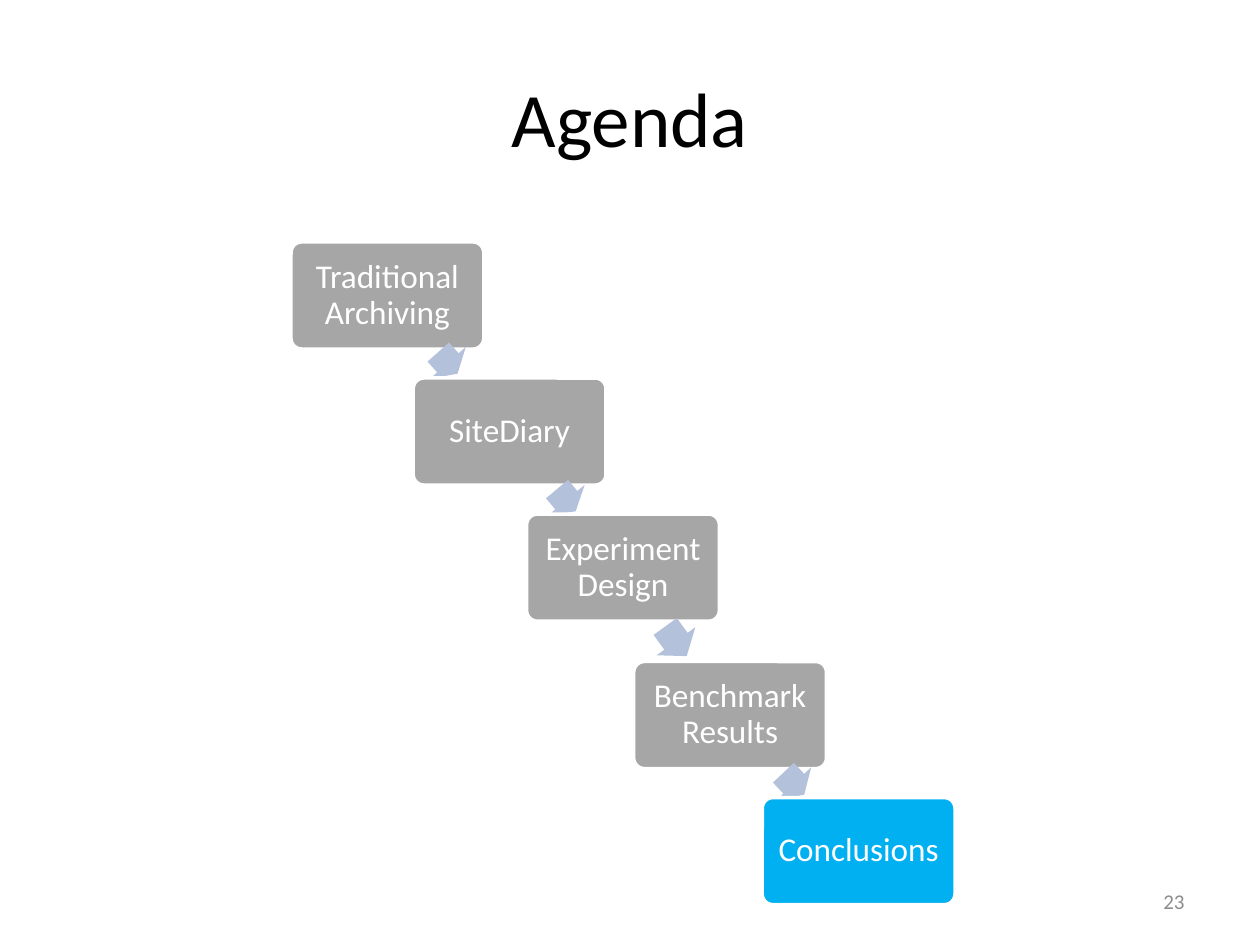
from pptx import Presentation
from pptx.dml.color import RGBColor
from pptx.enum import shapes, text
from pptx.util import Inches, Pt

KIND = shapes.MSO_SHAPE
ALIGN = text.PP_ALIGN


def rgb(code):
    return RGBColor.from_string(code)


def write(shape, words, size, color, align, inset=0.1):
    """Fill the shape with one vertically centred paragraph and return it."""
    frame = shape.text_frame
    look = {"word_wrap": True, "vertical_anchor": text.MSO_ANCHOR.MIDDLE,
            "margin_left": Inches(inset), "margin_right": Inches(inset)}
    for name, value in look.items():
        setattr(frame, name, value)
    para = frame.paragraphs[0]
    para.alignment = align
    run = para.add_run()
    run.text = words
    for name, value in {"name": "Calibri", "size": Pt(size)}.items():
        setattr(run.font, name, value)
    run.font.color.rgb = rgb(color)
    return para


deck = Presentation()
deck.slide_width, deck.slide_height = Inches(10), Inches(7.5)
slide = deck.slides.add_slide(deck.slide_layouts[5])  # title only
title = slide.shapes.title
for name, value in {"left": 0.5, "top": 0.3, "width": 9, "height": 1.25}.items():
    setattr(title, name, Inches(value))
write(title, "Agenda", 44, "000000", ALIGN.CENTER)

GREY, BLUE = "A6A6A6", "00B0F0"
# label, left, top, fill
steps = [
    ("Traditional Archiving", 2.31, 1.92, GREY),
    ("SiteDiary", 3.28, 3.0, GREY),
    ("Experiment Design", 4.18, 4.08, GREY),
    ("Benchmark Results", 5.03, 5.25, GREY),
    ("Conclusions", 6.05, 6.33, BLUE),
]
# left, top, width, rotation of the arrow after each step but the last
arrows = [
    (3.44, 2.69, 0.23, 48.3),
    (4.38, 3.78, 0.23, 50.1),
    (5.22, 4.9, 0.29, 54.1),
    (6.18, 6.03, 0.24, 46.6),
]

for i, (label, left, top, fill) in enumerate(steps):
    box = slide.shapes.add_shape(KIND.ROUNDED_RECTANGLE, Inches(left), Inches(top),
                                 Inches(1.53), Inches(0.85))
    box.adjustments[0] = 0.1
    box.shadow.inherit = False
    box.fill.solid()
    box.fill.fore_color.rgb = rgb(fill)
    box.line.color.rgb = rgb("FFFFFF")
    box.line.width = Pt(2)
    para = write(box, label, 19, "FFFFFF", ALIGN.CENTER, 0.09)
    para.line_spacing = 0.9

    if i < len(arrows):
        left, top, width, turn = arrows[i]
        arrow = slide.shapes.add_shape(KIND.RIGHT_ARROW, Inches(left), Inches(top),
                                       Inches(width), Inches(0.38))
        arrow.adjustments[0], arrow.adjustments[1] = 0.6, 0.5
        arrow.rotation = turn
        arrow.shadow.inherit = False
        arrow.fill.solid()
        arrow.fill.fore_color.rgb = rgb("B3C1DB")
        arrow.line.fill.background()

number = slide.shapes.add_textbox(Inches(7.17), Inches(6.95), Inches(2.33), Inches(0.4))
write(number, "23", 12, "8C8C8C", ALIGN.RIGHT)

deck.save("out.pptx")
